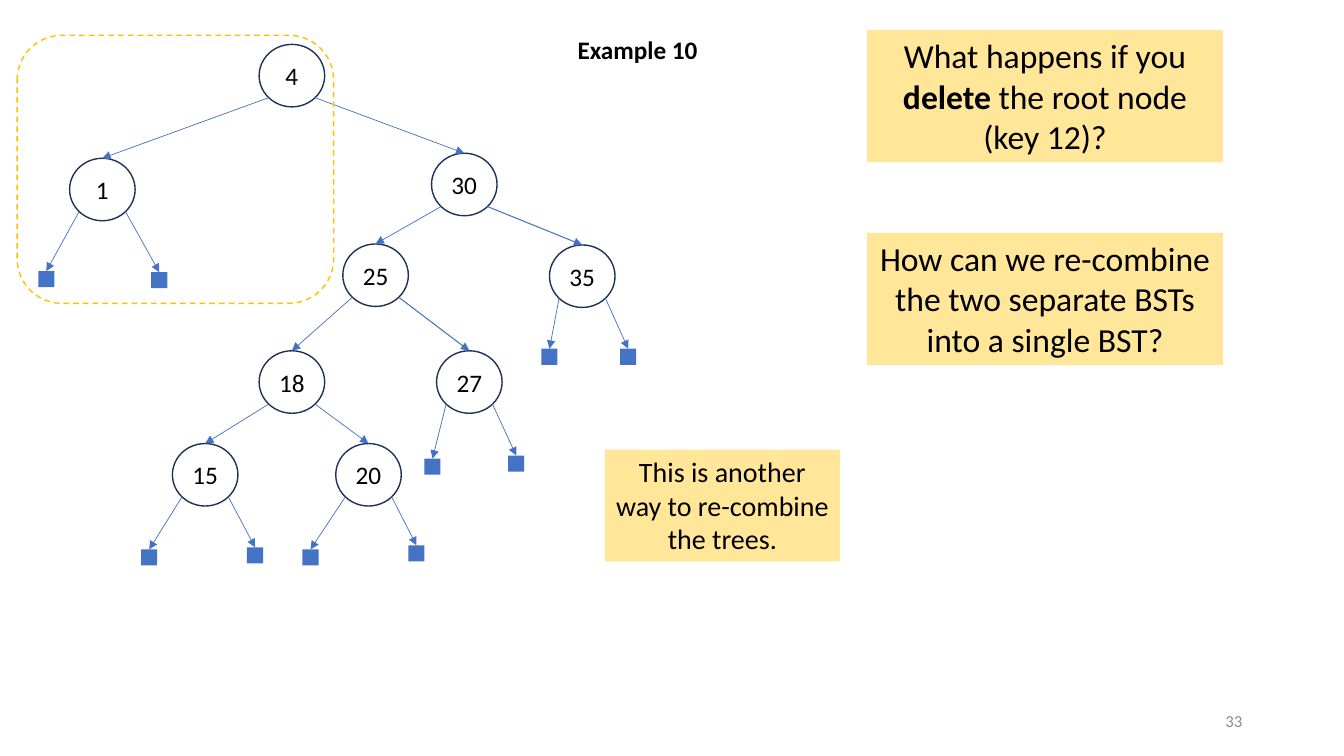
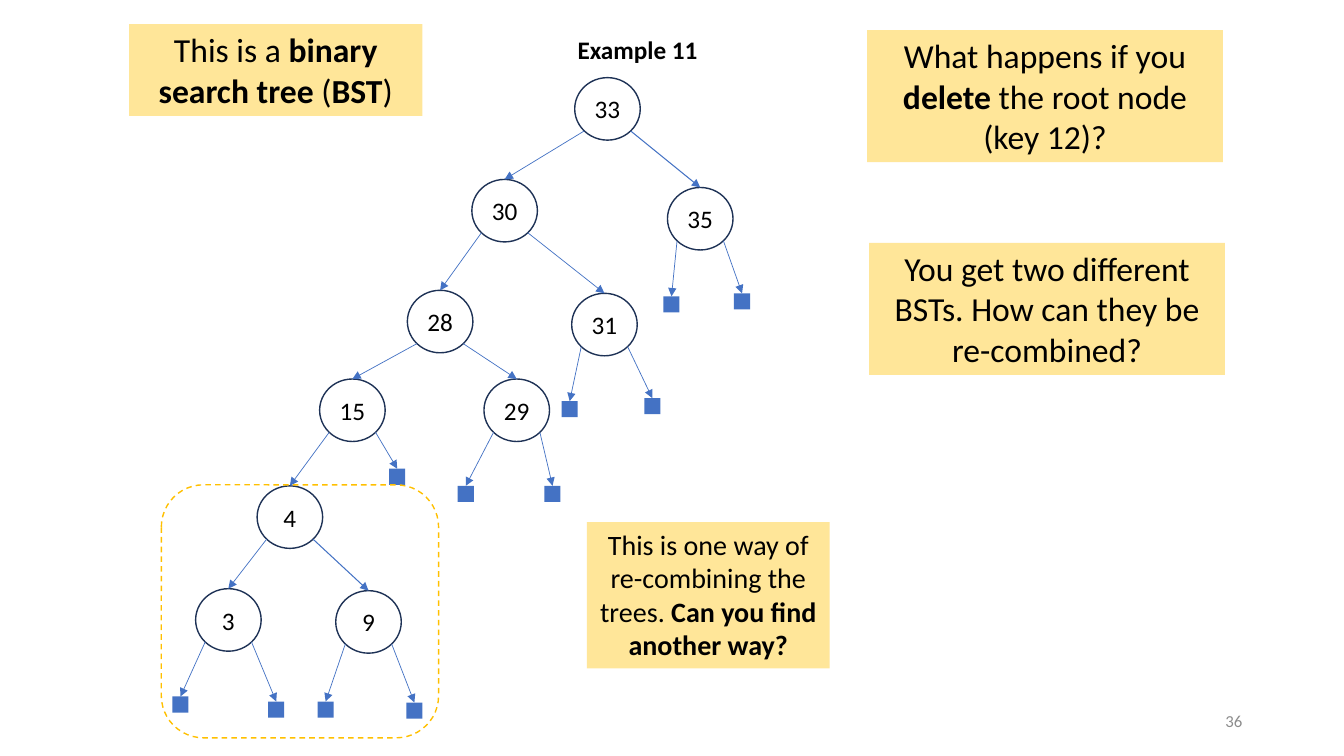
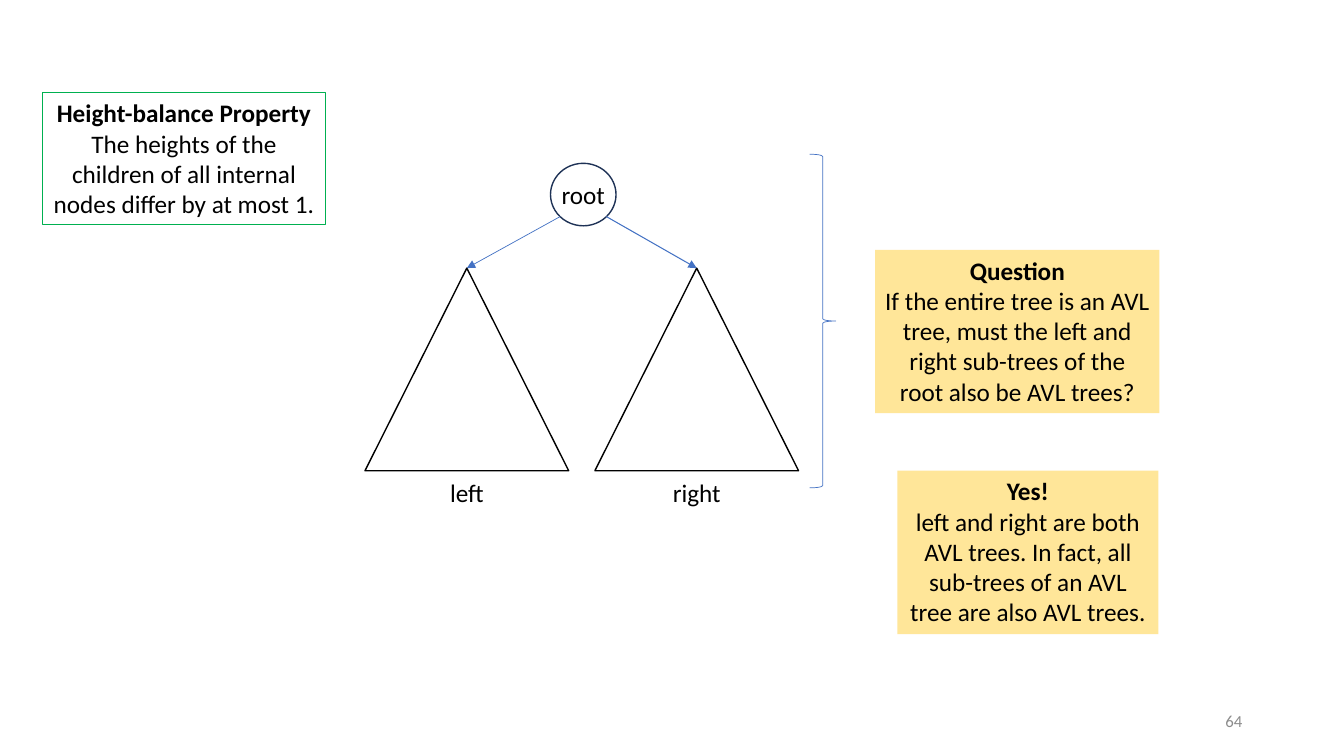
from lxml.etree import SubElement
from pptx import Presentation
from pptx.dml.color import RGBColor
from pptx.enum.dml import MSO_LINE
from pptx.enum.shapes import MSO_CONNECTOR, MSO_SHAPE as SHAPE
from pptx.enum.text import MSO_ANCHOR as ANCHOR, PP_ALIGN as ALIGN
from pptx.oxml.ns import qn
from pptx.util import Inches, Pt

COLOURS = {
    "text": "000000", "number": "8C8C8C", "note": "FFE699", "circle": "1E3256",
    "accent": "4472C4", "subtree": "FFC000", "property": "00B050",
}
FONT = "Calibri"
NODE_W, NODE_H, LEAF = 0.65, 0.62, 0.16
DIAGONAL = 0.5 ** 0.5
HEAVY_ARROWS = {"35", "27", "9", "right"}

DELETE_ROOT = ((8.6, 0.3, 3.53, 1.31), 24, [
    [("What happens if you ", False), ("delete", True), (" the root node (key 12)?", False)]])

# A node is (key, left, top, left child, right child); a leaf is (left, top).
TREE_SLIDES = [
    {
        "number": "33",
        "title": "Example 10",
        "subtree": (0.17, 0.35, 3.14, 2.66),
        "notes": [
            DELETE_ROOT,
            ((8.6, 2.31, 3.53, 1.31), 24, [
                [("How can we re-combine the two separate BSTs into a single BST?", False)]]),
            ((6, 4.46, 2.33, 1.11), 20, [
                [("This is another way to re-combine the trees.", False)]]),
        ],
        "tree": ("4", 2.57, 0.44,
                 ("1", 0.69, 1.57, (0.38, 2.69), (1.5, 2.7)),
                 ("30", 4.28, 1.52,
                  ("25", 3.4, 2.42,
                   ("18", 2.57, 3.48,
                    ("15", 1.71, 4.4, (1.4, 5.45), (2.45, 5.43)),
                    ("20", 3.33, 4.4, (3, 5.45), (4.05, 5.41))),
                   ("27", 4.33, 3.48, (4.21, 4.55), (5.04, 4.52))),
                  ("35", 5.45, 2.43, (5.37, 3.46), (6.15, 3.46)))),
    },
    {
        "number": "36",
        "title": "Example 11",
        "subtree": (1.6, 4.81, 2.75, 2.51),
        "notes": [
            ((1.28, 0.24, 2.91, 0.91), 24, [
                [("This is a ", False), ("binary search tree", True), (" (", False),
                 ("BST", True), (")", False)]]),
            DELETE_ROOT,
            ((8.62, 2.41, 3.53, 1.31), 24, [
                [("You get two different BSTs. How can they be re-combined?", False)]]),
            ((5.82, 5.18, 2.41, 1.45), 20, [
                [("This is one way of re-combining the trees. ", False),
                 ("Can you find another way?", True)]]),
        ],
        "tree": ("33", 5.7, 0.77,
                 ("30", 4.68, 1.78,
                  ("28", 4.04, 2.88,
                   ("15", 3.17, 3.76,
                    ("4", 2.55, 4.82,
                     ("3", 1.94, 5.84, (1.71, 6.91), (2.66, 6.96)),
                     ("9", 3.33, 5.86, (3.15, 6.96), (4.03, 6.97))),
                    (3.86, 4.65)),
                   ("29", 4.8, 3.76, (4.54, 4.82), (5.4, 4.82))),
                  ("31", 5.67, 2.91, (5.57, 3.98), (6.39, 3.95))),
                 ("35", 6.62, 1.86, (6.58, 2.94), (7.28, 2.91))),
    },
]

AVL_NUMBER = "64"
AVL_ROOT = ("root", 5.46, 1.62)
AVL_SUBTREES = [("left", 3.62), ("right", 5.9)]
SUBTREE_TOP, SUBTREE_W, SUBTREE_H = 2.66, 2.02, 2.01
AVL_BRACE = (8.03, 1.53, 0.26, 3.31)
AVL_PROPERTY = ((0.42, 0.92, 2.81, 1.31), 18, [
    [("Height-balance Property", True)],
    [("The heights of the children of all internal nodes differ by at most 1.", False)]])
AVL_NOTES = [
    ((8.68, 2.48, 2.82, 1.62), 18, [
        [("Question", True)],
        [("If the entire tree is an AVL tree, must the left and right sub-trees "
          "of the root also be AVL trees?", False)]]),
    ((8.9, 4.67, 2.59, 1.62), 18, [
        [("Yes!", True)],
        [("left and right are both AVL trees. In fact, all sub-trees of an AVL "
          "tree are also AVL trees.", False)]]),
]


def rgb(name):
    return RGBColor.from_string(COLOURS[name])


def write(frame, paragraphs, size=18, colour="text", align=ALIGN.CENTER,
          anchor=ANCHOR.TOP, wrap=True):
    frame.word_wrap = wrap
    frame.vertical_anchor = anchor
    for index, runs in enumerate(paragraphs):
        paragraph = frame.add_paragraph() if index else frame.paragraphs[0]
        paragraph.alignment = align
        for text, bold in runs:
            run = paragraph.add_run()
            run.text = text
            run.font.name = FONT
            run.font.size = Pt(size)
            run.font.bold = bold
            run.font.color.rgb = rgb(colour)


def add_text(slide, box, paragraphs, fill=None, line=None, **style):
    label = slide.shapes.add_textbox(*map(Inches, box))
    write(label.text_frame, paragraphs, **style)
    if fill:
        label.fill.solid()
        label.fill.fore_color.rgb = rgb(fill)
    if line:
        label.line.color.rgb = rgb(line)
        label.line.width = Pt(0.75)
    return label


def add_outline(slide, kind, box, colour, width=1):
    outline = slide.shapes.add_shape(kind, *map(Inches, box))
    outline.shadow.inherit = False
    outline.fill.background()
    outline.line.color.rgb = rgb(colour)
    outline.line.width = Pt(width)
    return outline


def add_circle(slide, key, left, top):
    circle = add_outline(slide, SHAPE.OVAL, (left, top, NODE_W, NODE_H), "circle")
    frame = circle.text_frame
    frame.margin_left = frame.margin_right = frame.margin_top = frame.margin_bottom = 0
    write(frame, [[(key, False)]], anchor=ANCHOR.MIDDLE, wrap=False)


def add_leaf(slide, left, top):
    leaf = slide.shapes.add_shape(SHAPE.RECTANGLE, *map(Inches, (left, top, LEAF, LEAF)))
    leaf.shadow.inherit = False
    leaf.fill.solid()
    leaf.fill.fore_color.rgb = rgb("accent")
    leaf.line.fill.background()
    return leaf


def add_branch(slide, parent, side, child, width):
    left, top = parent
    start_x = Inches(left + NODE_W / 2 * (1 + side * DIAGONAL))
    start_y = Inches(top + NODE_H / 2 * (1 + DIAGONAL))
    branch = slide.shapes.add_connector(
        MSO_CONNECTOR.STRAIGHT, start_x, start_y, child.left + child.width // 2, child.top)
    branch.end_connect(child, 0)
    branch.line.color.rgb = rgb("accent")
    branch.line.width = Pt(width)
    SubElement(branch.line._get_or_add_ln(), qn("a:tailEnd"), type="triangle")
    SubElement(branch._element.spPr, qn("a:effectLst"))


def arrow_width(key):
    return 0.75 if key in HEAVY_ARROWS else 0.5


def add_tree(slide, node):
    if len(node) == 2:
        return add_leaf(slide, *node)
    key, left, top, *children = node
    add_circle(slide, key, left, top)
    circle = slide.shapes[-1]
    for side, child in zip((-1, 1), children):
        add_branch(slide, (left, top), side, add_tree(slide, child), arrow_width(child[0]))
    return circle


def add_notes(slide, notes):
    for box, size, paragraphs in notes:
        add_text(slide, box, paragraphs, fill="note", size=size)


def new_slide(deck, number):
    slide = deck.slides.add_slide(deck.slide_layouts[6])
    add_text(slide, (9.42, 6.95, 3, 0.4), [[(number, False)]], size=12,
             colour="number", align=ALIGN.RIGHT, anchor=ANCHOR.MIDDLE)
    return slide


def build_tree_slide(deck, content):
    slide = new_slide(deck, content["number"])
    add_text(slide, (5.63, 0.29, 1.4, 0.4), [[(content["title"], True)]],
             align=ALIGN.LEFT, wrap=False)
    add_tree(slide, content["tree"])
    subtree = add_outline(slide, SHAPE.ROUNDED_RECTANGLE, content["subtree"], "subtree")
    subtree.line.dash_style = MSO_LINE.DASH
    add_notes(slide, content["notes"])


def build_avl_slide(deck):
    slide = new_slide(deck, AVL_NUMBER)
    add_circle(slide, *AVL_ROOT)
    for side, (name, left) in zip((-1, 1), AVL_SUBTREES):
        triangle = add_outline(slide, SHAPE.ISOSCELES_TRIANGLE,
                               (left, SUBTREE_TOP, SUBTREE_W, SUBTREE_H), "text")
        add_branch(slide, AVL_ROOT[1:], side, triangle, arrow_width(name))
        add_text(slide, (left + SUBTREE_W / 2 - 0.34, 4.69, 0.68, 0.4),
                 [[(name, False)]], wrap=False)
    add_outline(slide, SHAPE.RIGHT_BRACE, AVL_BRACE, "accent", 0.5)
    box, size, paragraphs = AVL_PROPERTY
    add_text(slide, box, paragraphs, line="property", size=size)
    add_notes(slide, AVL_NOTES)


def main():
    deck = Presentation()
    deck.slide_width, deck.slide_height = Inches(13.33), Inches(7.5)
    for content in TREE_SLIDES:
        build_tree_slide(deck, content)
    build_avl_slide(deck)
    deck.save("out.pptx")


if __name__ == "__main__":
    main()
